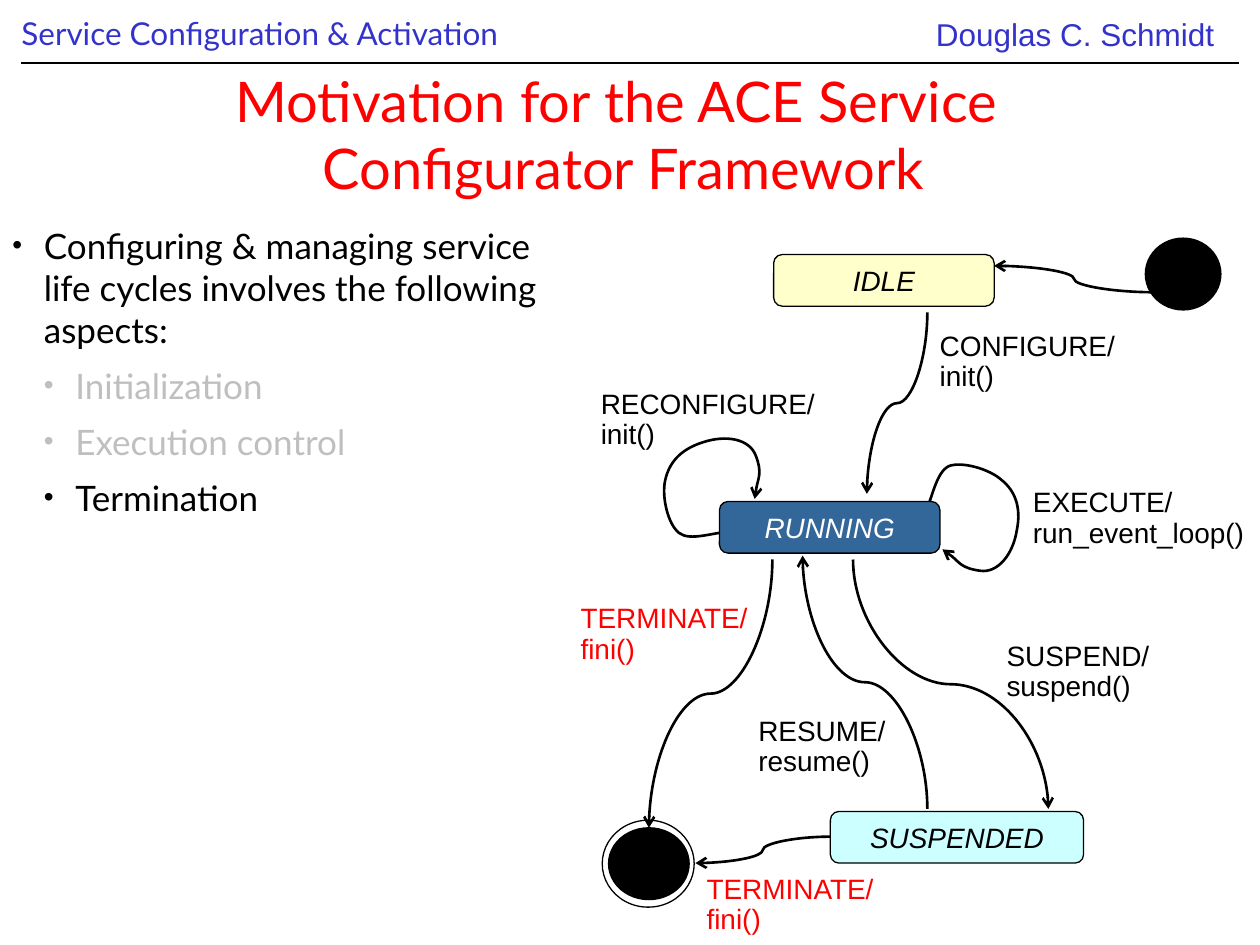
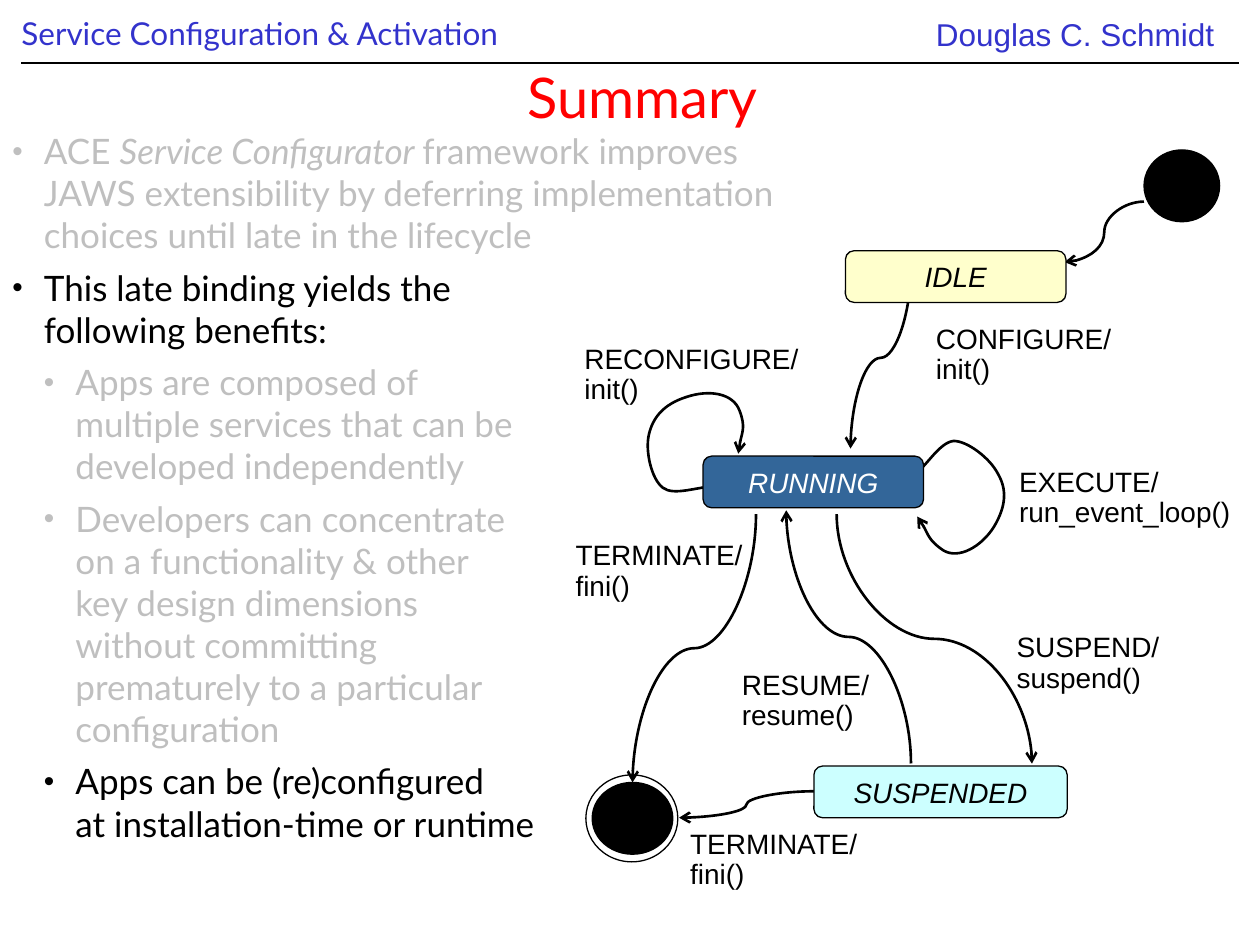
from dataclasses import dataclass

from lxml.etree import SubElement
from pptx import Presentation
from pptx.dml.color import RGBColor
from pptx.enum.shapes import MSO_CONNECTOR as Connector, MSO_SHAPE as Shape
from pptx.enum.text import MSO_ANCHOR as Anchor, MSO_AUTO_SIZE as AutoSize, PP_ALIGN as Align
from pptx.oxml.ns import qn
from pptx.util import Pt

SCALE = 9144  # EMU per px, 100 px to the inch
TITLE_ONLY = 5
HEAD_FONT, LABEL_FONT = "Lato", "Arial"
COLORS = {
    "black": "000000",
    "white": "FFFFFF",
    "title": "FF0000",
    "alert": "FF0000",
    "header": "3333CC",
    "dimmed": "BFBFBF",
    "idle": "FFFFCC",
    "running": "336699",
    "suspended": "CCFFFF",
}


@dataclass
class LifeCycle:
    """What differs between the two drawings of the state chart."""
    dx: int
    dy: int
    idle: tuple
    start: tuple
    start_arrow: tuple
    configure: tuple
    execute: tuple
    terminate: tuple
    suspend: tuple
    execute_loop: list
    terminate_color: str


def px(*lengths):
    return [round(length * SCALE) for length in lengths]


def rgb(name):
    return RGBColor.from_string(COLORS[name])


def add_text(para, text, size, font, color, italic=False):
    """Add text to a paragraph, one run per line."""
    for index, line in enumerate(text.split("\n")):
        if index:
            para.add_line_break()
        span = para.add_run()
        span.text = line
        span.font.size = Pt(size)
        span.font.name = font
        span.font.italic = italic
        span.font.color.rgb = rgb(color)


def add_box(page, left, top, width, height):
    box = page.shapes.add_textbox(*px(left, top, width, height))
    box.text_frame.word_wrap = True
    return box.text_frame


def style_line(line, width, arrow=False):
    line.color.rgb = rgb("black")
    line.width = Pt(width)
    if arrow:
        SubElement(line._get_or_add_ln(), qn("a:tailEnd"), type="arrow")


def add_line(page, kind, start, end, width, arrow=False):
    line = page.shapes.add_connector(kind, *px(*start, *end))
    style_line(line.line, width, arrow)
    SubElement(line.element.spPr, qn("a:effectLst"))
    return line


def add_side_curve(page, start, end):
    """Curved arrow that leaves and arrives horizontally."""
    add_line(page, Connector.CURVE, start, end, 1.5, arrow=True)


def add_upright_curve(page, start, end):
    """Curved arrow that leaves and arrives vertically: a side curve, turned."""
    (x1, y1), (x2, y2) = start, end
    mid_x, mid_y = (x1 + x2) / 2, (y1 + y2) / 2
    down = y2 > y1
    half_run = abs(y2 - y1) / 2
    half_rise = (x1 - x2) / 2 if down else (x2 - x1) / 2
    curve = add_line(page, Connector.CURVE, (mid_x - half_run, mid_y - half_rise),
                     (mid_x + half_run, mid_y + half_rise), 1.5, arrow=True)
    turn = 90 if down else 270
    curve.element.spPr.find(qn("a:xfrm")).set("rot", str(turn * 60000))


def add_loop(page, points):
    """Arrow along Bezier segments: a start, then three points per segment."""
    builder = page.shapes.build_freeform(*points[0], scale=SCALE)
    builder.add_line_segments(points[1:], close=False)
    loop = builder.convert_to_shape()
    outline = next(loop.element.iter(qn("a:path")))
    steps = outline.findall(qn("a:lnTo"))
    for first in range(0, len(steps), 3):
        segment = SubElement(outline, qn("a:cubicBezTo"))
        for step in steps[first:first + 3]:
            segment.append(step[0])
            outline.remove(step)
    loop.shadow.inherit = False
    loop.fill.background()
    style_line(loop.line, 1.5, arrow=True)


def add_figure(page, kind, area, fill=None):
    figure = page.shapes.add_shape(kind, *px(*area))
    figure.shadow.inherit = False
    if fill:
        figure.fill.solid()
        figure.fill.fore_color.rgb = rgb(fill)
    else:
        figure.fill.background()
    style_line(figure.line, 0.75)
    return figure


def add_state(page, name, area, fill, color="black"):
    state = add_figure(page, Shape.ROUNDED_RECTANGLE, area, fill)
    state.text_frame.vertical_anchor = Anchor.MIDDLE
    para = state.text_frame.paragraphs[0]
    para.alignment = Align.CENTER
    add_text(para, name, 16, LABEL_FONT, color, italic=True)


def add_label(page, text, left, top, width, color="black"):
    para = add_box(page, left, top, width, 59).paragraphs[0]
    para.line_spacing = 0.9
    add_text(para, text, 16, LABEL_FONT, color)


def add_bullets(page, area, items, gap, bullet_size):
    """Each item is a level, a colour and a list of (text, italic) pieces."""
    frame = add_box(page, *area)
    for index, (level, color, pieces) in enumerate(items):
        para = frame.add_paragraph() if index else frame.paragraphs[0]
        para.level = level
        props = para._p.get_or_add_pPr()
        indent, = px(25)
        props.set("marL", str(indent * (level + 1)))
        props.set("indent", str(-indent))
        SubElement(props, qn("a:buSzPct"), val=str(bullet_size * 1000))
        SubElement(props, qn("a:buFont"), typeface=LABEL_FONT)
        SubElement(props, qn("a:buChar"), char="•")
        if index:
            para.space_before = Pt(gap)
        for text, italic in pieces:
            add_text(para, text, 20, HEAD_FONT, color, italic)


def add_page(deck, title, title_area):
    """Add a slide with the running header, its rule and the title."""
    page = deck.slides.add_slide(deck.slide_layouts[TITLE_ONLY])
    topic = add_box(page, 17, 6, 592, 40)
    topic.margin_left = topic.margin_right = 0
    add_text(topic.paragraphs[0], "Service Configuration & Activation", 18, HEAD_FONT, "header")
    author = add_box(page, 733, 7, 251, 40)
    add_text(author.paragraphs[0], "Douglas C. Schmidt", 18, LABEL_FONT, "header")
    add_line(page, Connector.STRAIGHT, (17, 50), (983, 50), 0.75)

    heading = page.shapes.title
    heading.left, heading.top, heading.width, heading.height = px(*title_area)
    frame = heading.text_frame
    frame.auto_size = AutoSize.NONE
    frame.vertical_anchor = Anchor.MIDDLE
    para = frame.paragraphs[0]
    para.alignment = Align.CENTER
    add_text(para, title, 32, HEAD_FONT, "title")
    return page


def draw_life_cycle(page, chart):
    def at(x, y, *size):
        return (x + chart.dx, y + chart.dy, *size)

    add_figure(page, Shape.OVAL, at(483, 657, 64, 57), "black")
    add_figure(page, Shape.OVAL, (*chart.start, 60, 57), "black")
    add_side_curve(page, *chart.start_arrow)
    add_side_curve(page, at(659, 664), at(552, 685))
    ring = add_figure(page, Shape.DONUT, at(478, 651, 73, 69))
    ring.adjustments[0] = 0.1

    for start, end in [
        ((736, 248), (688, 392)),  # configure
        ((736, 642), (637, 441)),  # resume
        ((677, 444), (832, 642)),  # suspend
        ((613, 444), (515, 657)),  # terminate
    ]:
        add_upright_curve(page, at(*start), at(*end))

    add_state(page, "IDLE", (*chart.idle, 175, 41), "idle")
    add_state(page, "SUSPENDED", at(659, 644, 201, 41), "suspended")
    reconfigure_loop = [
        (581, 422), (567, 422), (548, 430), (539, 423), (530, 416), (525, 394), (528, 381),
        (531, 368), (539, 357), (558, 351), (576, 345), (595, 348), (600, 362),
        (605, 375), (600, 384), (599, 396)]
    add_loop(page, [at(*point) for point in reconfigure_loop])
    add_loop(page, chart.execute_loop)
    add_state(page, "RUNNING", at(571, 398, 175, 41), "running", "white")

    add_label(page, "CONFIGURE/\ninit()", *chart.configure, 161)
    add_label(page, "RECONFIGURE/\ninit()", *at(467, 305), 194)
    add_label(page, "EXECUTE/\nrun_event_loop()", *chart.execute, 190)
    add_label(page, "SUSPEND/\nsuspend()", *chart.suspend, 171)
    add_label(page, "RESUME/\nresume()", *at(592, 564), 171)
    for place in (chart.terminate, at(551, 690)):
        add_label(page, "TERMINATE/\nfini()", *place, 154, chart.terminate_color)


def add_motivation(deck):
    page = add_page(deck, "Motivation for the ACE Service \nConfigurator Framework",
                    (51, 56, 888, 100))
    add_bullets(page, (0, 173, 440, 255), [
        (0, "black", [("Configuring & managing service life cycles involves "
                       "the following aspects:", False)]),
        (1, "dimmed", [("Initialization", False)]),
        (1, "dimmed", [("Execution control", False)]),
        (1, "black", [("Termination", False)]),
    ], gap=8, bullet_size=80)
    draw_life_cycle(page, LifeCycle(
        dx=0, dy=0, idle=(614, 202), start=(909, 189),
        start_arrow=((916, 232), (789, 211)),
        configure=(736, 259), execute=(810, 383), terminate=(451, 475), suspend=(789, 505),
        execute_loop=[
            (734, 408), (740, 395), (743, 375), (753, 370), (763, 366), (785, 372), (795, 381),
            (805, 389), (811, 402), (807, 421), (804, 440), (792, 455), (778, 453),
            (763, 451), (758, 442), (748, 436)],
        terminate_color="alert"))


def add_summary(deck):
    page = add_page(deck, "Summary", (55, 26, 910, 100))
    add_bullets(page, (0, 98, 665, 582), [
        (0, "dimmed", [("ACE ", False), ("Service Configurator ", True),
                       ("framework improves JAWS extensibility by deferring "
                        "implementation choices until late in the lifecycle", False)]),
        (0, "black", [("This late binding yields the \nfollowing benefits:", False)]),
        (1, "dimmed", [("Apps are composed of \nmultiple services that can be\n"
                        "developed independently", False)]),
        (1, "dimmed", [("Developers can concentrate \non a functionality & other \n"
                        "key design dimensions \nwithout committing \n"
                        "prematurely to a particular \nconfiguration", False)]),
        (1, "black", [("Apps can be (re)configured \nat installation-time or runtime", False)]),
    ], gap=6, bullet_size=85)
    draw_life_cycle(page, LifeCycle(
        dx=-13, dy=-36, idle=(671, 199), start=(908, 119),
        start_arrow=((908, 160), (845, 208)),
        configure=(733, 253), execute=(799, 367), terminate=(447, 425), suspend=(797, 498),
        execute_loop=[
            (725, 378), (736, 369), (746, 351), (757, 350), (768, 350), (786, 364), (792, 376),
            (799, 388), (799, 401), (789, 418), (779, 434), (761, 444), (749, 437),
            (737, 429), (735, 419), (728, 410)],
        terminate_color="black"))


def main():
    deck = Presentation()
    deck.slide_width, deck.slide_height = px(1000, 750)
    add_motivation(deck)
    add_summary(deck)
    deck.save("out.pptx")


if __name__ == "__main__":
    main()
